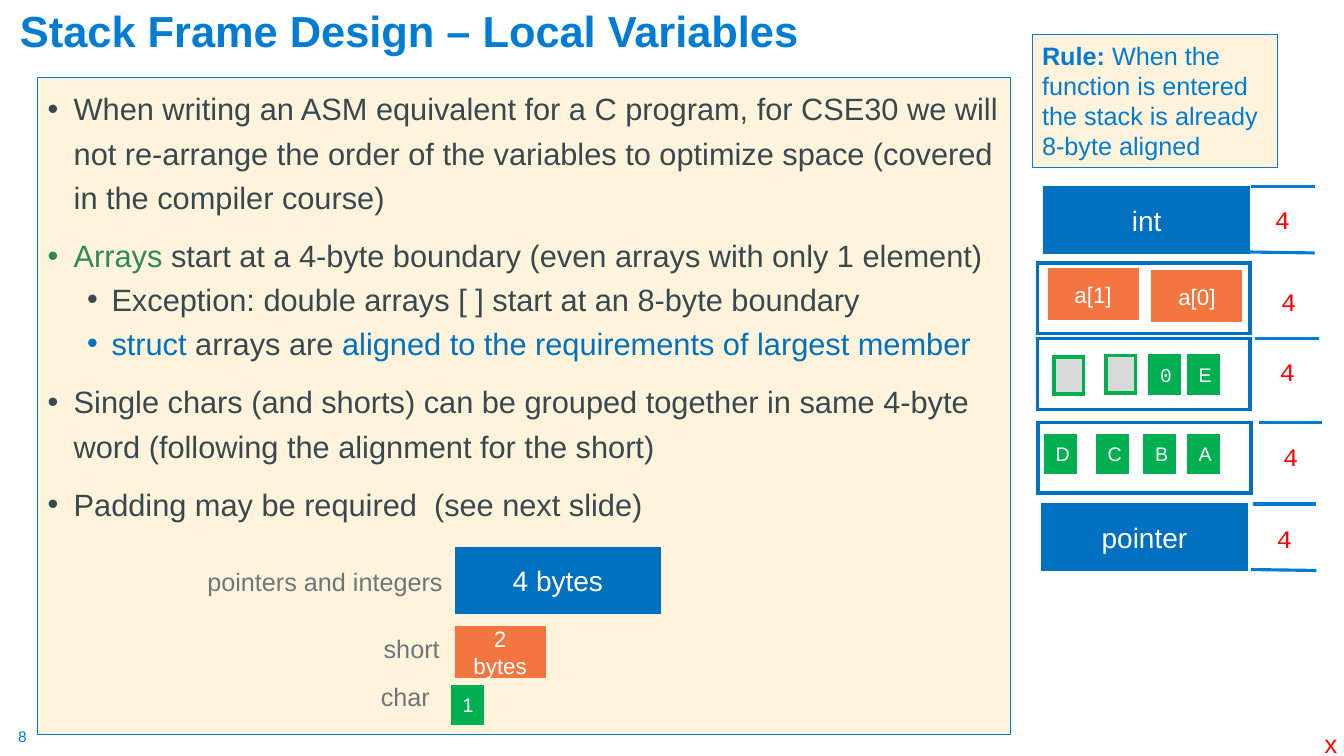
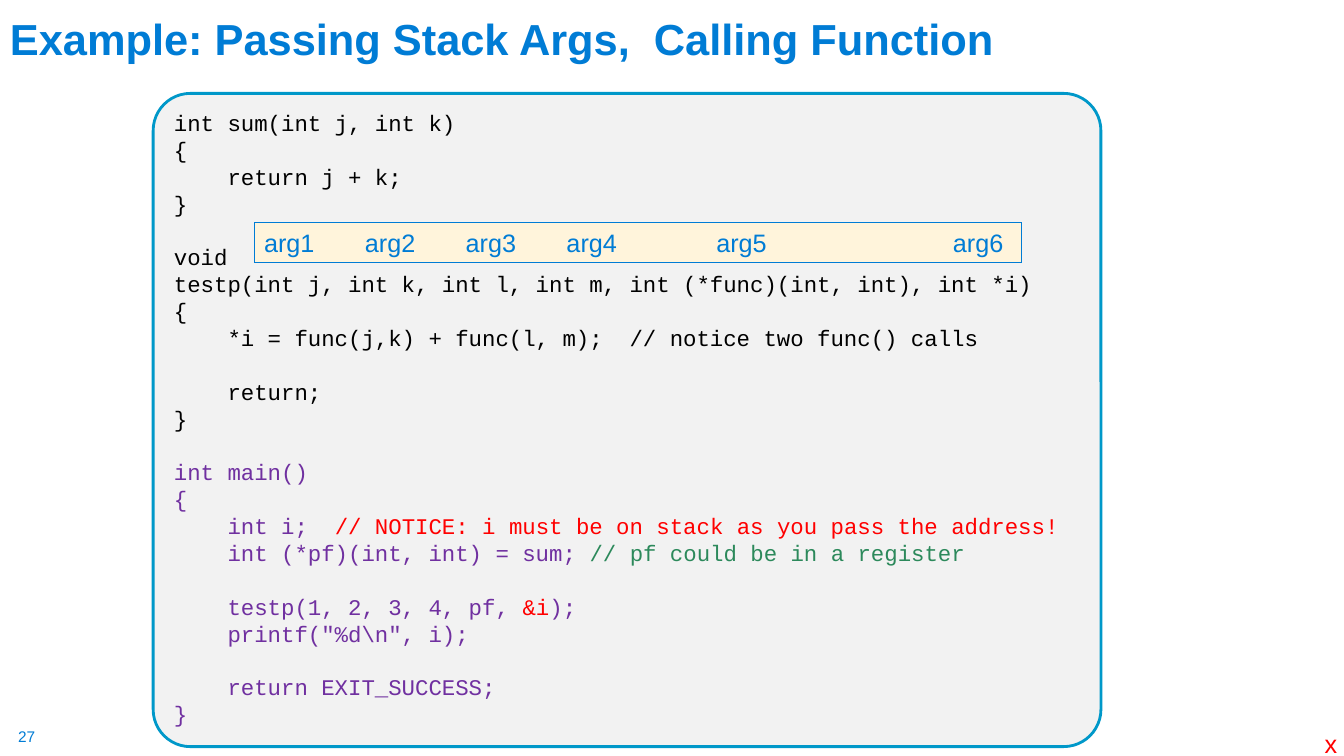
from dataclasses import dataclass

from lxml import etree
from pptx import Presentation
from pptx.dml.color import RGBColor
from pptx.enum import shapes, text
from pptx.oxml import ns
from pptx.util import Pt


@dataclass(frozen=True)
class Theme:
    sans: str = "Arial"
    mono: str = "Courier New"
    blue: str = "007CD5"
    box_blue: str = "0070C0"
    orange: str = "F3753F"
    green: str = "00B050"
    text_green: str = "2C895B"
    purple: str = "7030A0"
    red: str = "FF0000"
    cream: str = "FFF4DB"
    padding: str = "D9D9D9"
    code_fill: str = "F2F2F2"
    code_line: str = "0098C9"
    ink: str = "384851"
    label: str = "6B767D"
    white: str = "FFFFFF"
    black: str = "000000"
    title_size: int = 31
    body_size: int = 22
    word_size: int = 20
    note_size: int = 18
    code_size: int = 16
    char_size: int = 14
    number_size: int = 11


theme = Theme()
LEFT, CENTER = text.PP_ALIGN.LEFT, text.PP_ALIGN.CENTER
TOP, MIDDLE, BOTTOM = text.MSO_ANCHOR.TOP, text.MSO_ANCHOR.MIDDLE, text.MSO_ANCHOR.BOTTOM


def add_box(slide, place, fill=None, line=theme.blue, line_width=0.75,
            preset=shapes.MSO_SHAPE.RECTANGLE):
    shape = slide.shapes.add_shape(preset, *map(Pt, place))
    shape.shadow.inherit = False
    if fill:
        shape.fill.solid()
        shape.fill.fore_color.rgb = RGBColor.from_string(fill)
    else:
        shape.fill.background()
    shape.line.color.rgb = RGBColor.from_string(line)
    shape.line.width = Pt(line_width)
    etree.SubElement(shape._element.spPr.find(ns.qn("a:ln")), ns.qn("a:miter"), lim="800000")
    return shape


def write(shape, lines, size, color, font=theme.sans, bold=False, align=LEFT, anchor=TOP, wrap=True):
    """Fill a shape with one string, or with lines of (text, colour or None) runs."""
    if isinstance(lines, str):
        lines = [[(lines, None)]]
    frame = shape.text_frame
    frame.word_wrap = wrap
    frame.vertical_anchor = anchor
    for index, runs in enumerate(lines):
        paragraph = frame.add_paragraph() if index else frame.paragraphs[0]
        paragraph.alignment = align
        paragraph.font.name = font
        paragraph.font.size = Pt(size)
        paragraph.font.bold = bold
        paragraph.font.color.rgb = RGBColor.from_string(color)
        for words, run_color in runs:
            run = paragraph.add_run()
            run.text = words
            if run_color:
                run.font.color.rgb = RGBColor.from_string(run_color)
    return frame.paragraphs


presentation = Presentation()
presentation.slide_width, presentation.slide_height = Pt(960), Pt(540)

# Title, slide number and corner mark on every slide
titles = [
    ("Stack Frame Design – Local Variables", "8", (7.2, 8.2, 676, 36)),
    ("Example: Passing Stack Args,  Calling Function", "27", (0, 1, 828, 49)),
]
for title, number, place in titles:
    slide = presentation.slides.add_slide(presentation.slide_layouts[6])
    title_box = slide.shapes.add_textbox(*map(Pt, place))
    write(title_box, title, theme.title_size, theme.blue, bold=True, anchor=BOTTOM)[0].line_spacing = 0.9
    number_box = slide.shapes.add_textbox(Pt(13), Pt(519.5), Pt(14), Pt(14))
    frame = number_box.text_frame
    frame.margin_left = frame.margin_right = frame.margin_top = frame.margin_bottom = 0
    write(number_box, number, theme.number_size, theme.blue, wrap=False)
    mark = slide.shapes.add_textbox(Pt(939), Pt(517), Pt(24), Pt(29))
    write(mark, "x", theme.note_size, theme.red, wrap=False)
variables_slide, code_slide = presentation.slides

# Local variables: bullets
bullets = [
    (0, [("When writing an ASM equivalent for a C program, for CSE30 we will not re-arrange the order "
          "of the variables to optimize space (covered in the compiler course)", None)]),
    (0, [("Arrays", theme.text_green),
         (" start at a 4-byte boundary (even arrays with only 1 element)", None)]),
    (1, [("Exception: double arrays [ ] start at an 8-byte boundary", None)]),
    (1, [("struct", theme.box_blue), (" arrays are ", None),
         ("aligned to the requirements of largest member", theme.box_blue)]),
    (0, [("Single chars (and shorts) can be grouped together in same 4-byte word "
          "(following the alignment for the short)", None)]),
    (0, [("Padding may be required  (see next slide)", None)]),
]
levels = [(19, 18.7, 1.2, 10), (46, 17.5, 1.0, 5)]  # indent, hang, line spacing, space before
body = add_box(variables_slide, (26.6, 55.4, 695, 469), theme.cream)
paragraphs = write(body, [runs for _, runs in bullets], theme.body_size, theme.ink)
for index, (paragraph, (level, _)) in enumerate(zip(paragraphs, bullets)):
    indent, hang, spacing, before = levels[level]
    properties = paragraph._p.get_or_add_pPr()
    properties.set("marL", str(Pt(indent)))
    properties.set("indent", str(Pt(-hang)))
    properties.insert(0, etree.Element(ns.qn("a:buFont"), typeface=theme.sans))
    properties.insert(1, etree.Element(ns.qn("a:buChar"), char="•"))
    paragraph.level = level
    paragraph.line_spacing = spacing
    paragraph.space_before = Pt(before if index else 0)

# Local variables: memory cells, in the stack and in the legend
kinds = {  # width, height, fill, line, text size
    "word": (145, 46, theme.box_blue, theme.box_blue, theme.word_size),
    "short": (62.6, 34.6, theme.orange, theme.orange, theme.code_size),
    "char": (21, 26.6, theme.green, theme.green, theme.char_size),
    "pad": (21, 26.6, theme.padding, theme.green, theme.char_size),
    "frame": (152, 50.4, None, theme.box_blue, theme.char_size),
}
cells = [
    ("word", "int", 746.6, 134), ("word", "pointer", 745, 360.7),
    ("short", "a[1]", 749.5, 193), ("short", "a[0]", 823.7, 194.4),
    ("pad", "", 753, 255), ("pad", "", 790, 254), ("char", "0", 821.5, 254), ("char", "E", 849, 254),
    ("char", "D", 747, 311), ("char", "C", 784, 311), ("char", "B", 818, 311), ("char", "A", 849, 311),
    ("frame", "", 741, 188), ("frame", "", 741, 242), ("frame", "", 741.6, 301.7),
    ("word", "4 bytes", 326, 391.7), ("short", "2 bytes", 326, 448.6), ("char", "1", 323.3, 490.3),
]
for kind, label, left, top in cells:
    width, height, fill, line, size = kinds[kind]
    cell = add_box(variables_slide, (left, top, width, height), fill, line, 2.5)
    if label:
        font = theme.mono if label == "0" else theme.sans
        write(cell, label, size, theme.white, font, align=CENTER, anchor=MIDDLE)

legend = [("pointers and integers", 141, 401, 190), ("short", 267, 448.6, 55), ("char", 265, 483, 50)]
for label, left, top, width in legend:
    label_box = variables_slide.shapes.add_textbox(Pt(left), Pt(top), Pt(width), Pt(29))
    write(label_box, label, theme.note_size, theme.label)

# Local variables: byte counts between rules
for left, top in [(903.6, 142.6), (908, 201), (907.2, 251.3), (909.4, 311.8), (905, 370)]:
    count = variables_slide.shapes.add_textbox(Pt(left), Pt(top), Pt(24.5), Pt(29))
    write(count, "4", theme.note_size, theme.red, theme.mono, wrap=False)

rules = [(893.5, 133.2, 939, 133.2), (892, 180, 939, 180.7), (896.4, 242, 942.5, 242),
         (899.3, 301.7, 944.6, 301.7), (895, 360, 940.3, 360), (893.5, 406.8, 940.3, 407.5)]
for ends in rules:
    rule = variables_slide.shapes.add_connector(shapes.MSO_CONNECTOR.STRAIGHT, *map(Pt, ends))
    rule.line.color.rgb = RGBColor.from_string(theme.blue)
    rule.line.width = Pt(2.25)
    etree.SubElement(rule._element.spPr, ns.qn("a:effectLst"))

note = add_box(variables_slide, (737.3, 25, 175, 94.5), theme.cream)
note_runs = [("Rule: ", None), ("When the function is entered the stack is already 8-byte aligned", None)]
write(note, [note_runs], theme.note_size, theme.blue)[0].runs[0].font.bold = True

# Passing stack arguments: code listing, one block between blank lines
source = r"""int sum(int j, int k)
{
    return j + k;
}

void
testp(int j, int k, int l, int m, int (*func)(int, int), int *i)
{
    *i = func(j,k) + func(l, m);  // notice two func() calls

    return;
}

int main()
{
    int i;  // NOTICE: i must be on stack as you pass the address!
    int (*pf)(int, int) = sum; // pf could be in a register

    testp(1, 2, 3, 4, pf, &i);
    printf("%d\n", i);

    return EXIT_SUCCESS;
}"""
highlights = {
    "// NOTICE: i must be on stack as you pass the address!": theme.red,
    "// pf could be in a register": theme.text_green,
    "&i": theme.red,
}
code_lines, block_starts = [], []
color = theme.black
for block in source.split("\n\n"):
    block_starts.append(len(code_lines))
    if block.startswith("int main"):
        color = theme.purple
    for line in block.splitlines():
        phrase = next((phrase for phrase in highlights if phrase in line), None)
        if phrase:
            before, _, after = line.partition(phrase)
            runs = [(before, color), (phrase, highlights[phrase]), (after, color)]
        else:
            runs = [(line, color)]
        code_lines.append([run for run in runs if run[0]])

listing = add_box(code_slide, (109.4, 66.7, 677, 466.6), theme.code_fill, theme.code_line, 2,
                  shapes.MSO_SHAPE.ROUNDED_RECTANGLE)
listing.adjustments[0] = 0.057
paragraphs = write(listing, code_lines, theme.code_size, theme.black, theme.mono)
for start in block_starts[1:]:
    paragraphs[start].space_before = Pt(19.2)

# Passing stack arguments: argument names on tab stops
arguments = add_box(code_slide, (181.6, 158.6, 548, 29), theme.cream)
names = "\t".join(f"arg{number}" for number in range(1, 7))
paragraph = write(arguments, names, theme.note_size, theme.blue)[0]
tabs = etree.Element(ns.qn("a:tabLst"))
for position in (72, 144, 216, 323, 492):
    etree.SubElement(tabs, ns.qn("a:tab"), pos=str(Pt(position)), algn="l")
paragraph._p.get_or_add_pPr().insert(0, tabs)

presentation.save("out.pptx")
